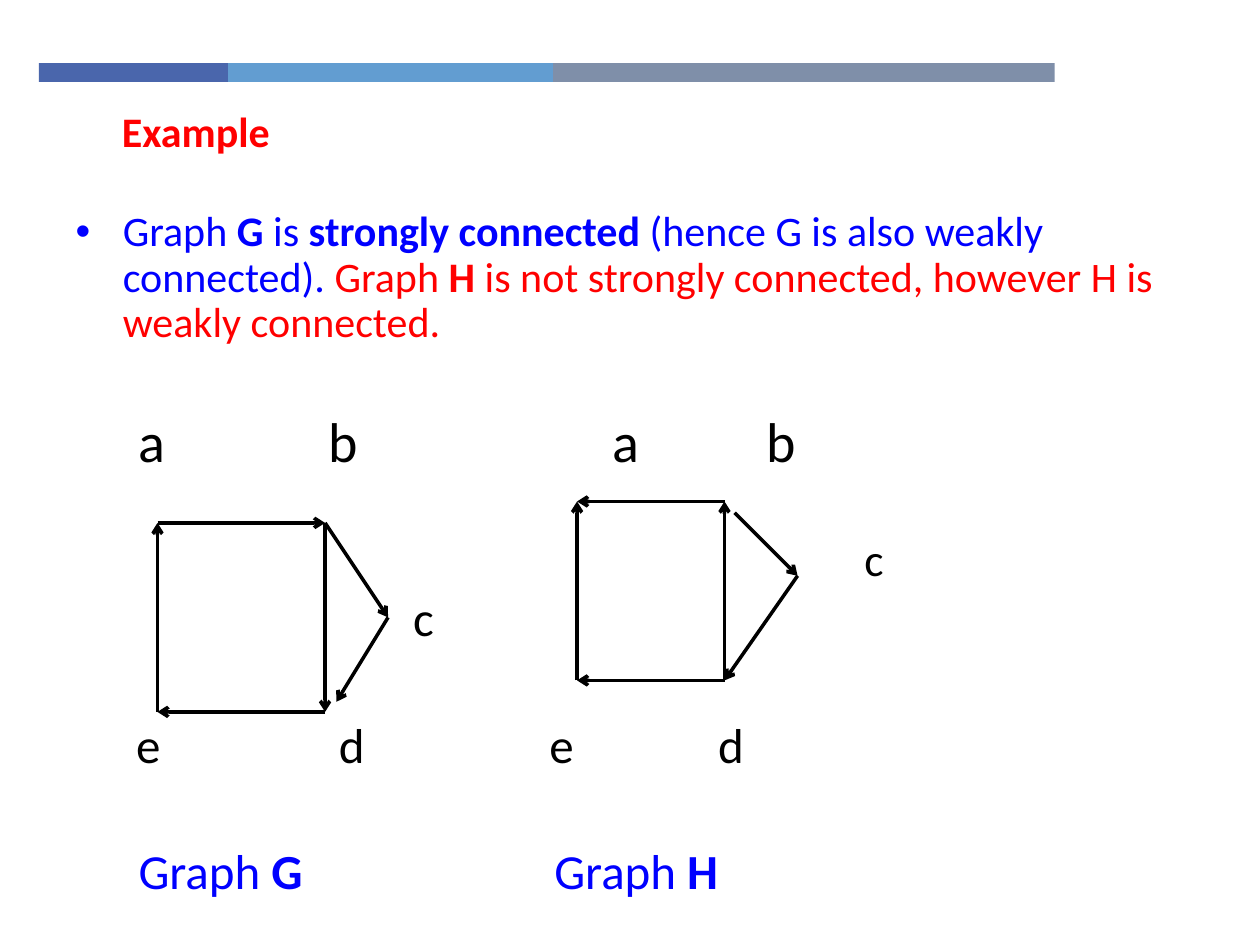
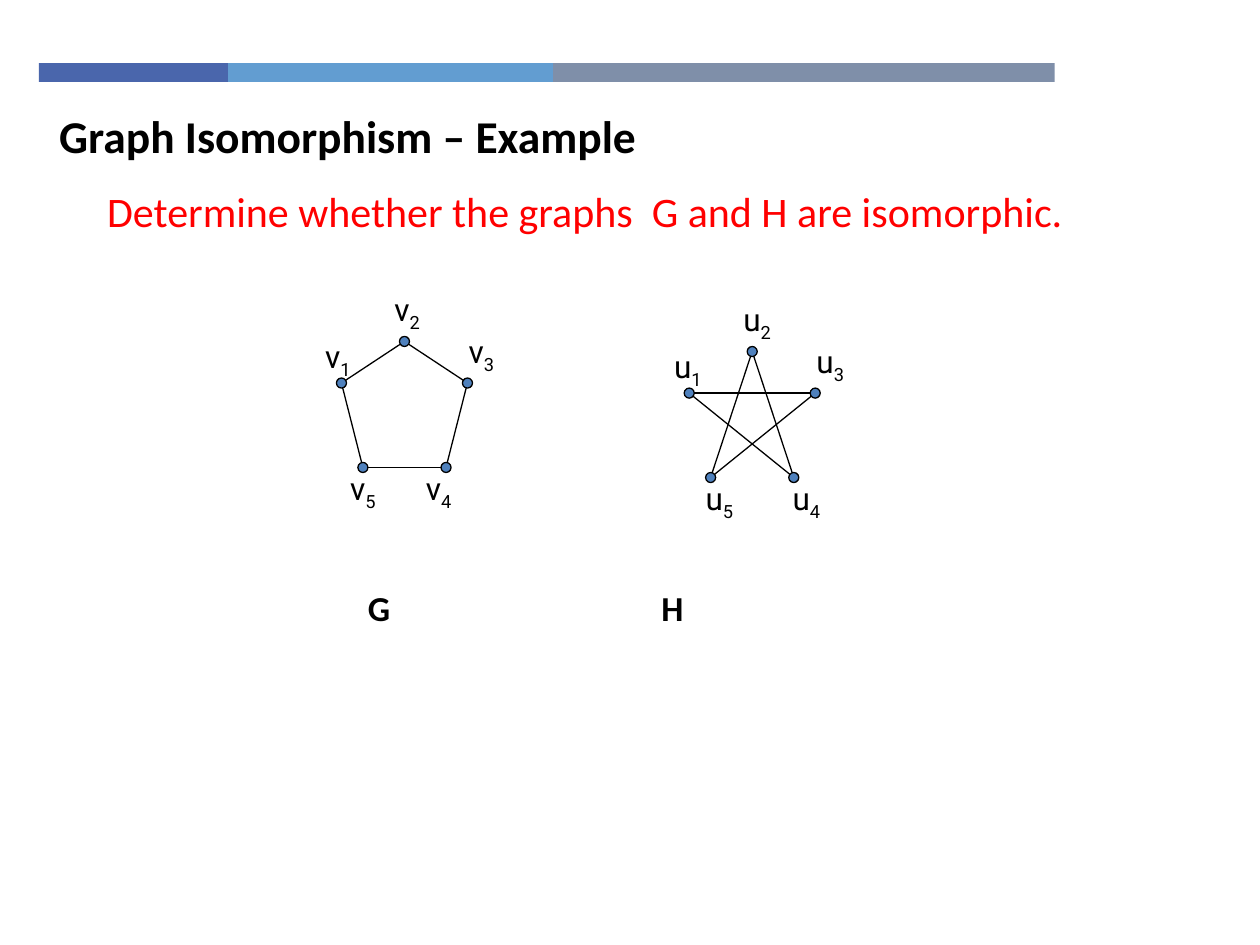
import pptx
import pptx.util
import pptx.dml.color
import pptx.enum.shapes
import pptx.enum.text
import pptx.oxml
import pptx.oxml.ns

Inch = pptx.util.Inches
Align = pptx.enum.text.PP_ALIGN
Shape = pptx.enum.shapes.MSO_SHAPE

HUES = {"navy": "4A66AC", "sky": "629DD1", "slate": "7F8FA9", "red": "FF0000",
        "blue": "0000FF", "black": "000000", "dot": "4F81BD"}

BANDS = [("navy", 1.5), ("sky", 2.58), ("slate", 3.98)]
BAND_LEFT, BAND_TOP, BAND_TALL = 0.31, 0.5, 0.15

PAGES = [
    {"title": "Example", "title_box": (0.48, 0.77, 2.15, 0.53), "size": 24,
     "hue": "red", "align": Align.CENTER,
     "body_box": (0.5, 1.62, 9, 1.4), "bullet": True, "space": 0.9,
     "body": [("Graph ", "blue", False), ("G", "blue", True), (" is ", "blue", False),
              ("strongly connected", "blue", True),
              (" (hence G is also weakly connected). ", "blue", False),
              ("Graph ", "red", False), ("H", "red", True),
              (" is not strongly connected, however H is weakly connected.", "red", False)]},
    {"title": "Graph Isomorphism – Example", "title_box": (0.37, 0.8, 7.16, 0.54),
     "size": 26, "hue": "black", "align": Align.LEFT,
     "body_box": (0.75, 1.42, 8.17, 0.6), "bullet": False, "space": 1.0,
     "body": [("Determine whether the graphs  G and H are isomorphic.", "red", False)]},
]

ROUTES = [
    {"name": "G", "name_at": (1.1, 7.04),
     "nodes": {"a": (1.25, 4.15), "b": (2.58, 4.15), "c": (3.08, 4.9),
               "d": (2.58, 5.65), "e": (1.25, 5.65), "near d": (2.67, 5.57)},
     "arcs": [("a", "b"), ("b", "d"), ("d", "e"), ("e", "a"), ("b", "c"), ("c", "near d")],
     "marks": [("a", 1.1, 3.65, 32), ("b", 2.61, 3.65, 32), ("c", 3.28, 5.03, 28),
               ("d", 2.69, 6.04, 28), ("e", 1.08, 6.04, 28)]},
    {"name": "H", "name_at": (4.4, 7.04),
     "nodes": {"a": (4.58, 3.98), "b": (5.75, 3.98), "c": (6.33, 4.57),
               "d": (5.75, 5.4), "e": (4.58, 5.4), "near b": (5.83, 4.07)},
     "arcs": [("d", "e"), ("e", "a"), ("d", "b"), ("b", "a"), ("near b", "c"), ("c", "d")],
     "marks": [("a", 4.86, 3.65, 32), ("b", 6.08, 3.65, 32), ("c", 6.86, 4.56, 26),
               ("d", 5.7, 6.04, 28), ("e", 4.36, 6.04, 28)]},
]

RING = [(0, 0.33), (0.5, 0), (1, 0.33), (0.83, 1), (0.17, 1)]
LIFTS = [-0.13, -0.17, -0.17, 0.25, 0.25]
DOT = 0.08
RINGS = [
    {"name": "G", "name_at": (2.92, 4.92), "left": 2.71, "top": 2.71, "mark": "v",
     "step": 1, "shifts": [-0.13, -0.08, 0.01, -0.16, -0.1]},
    {"name": "H", "name_at": (5.25, 4.92), "left": 5.47, "top": 2.79, "mark": "u",
     "step": 2, "shifts": [-0.12, -0.07, 0.01, -0.01, -0.04]},
]


def tint(hue):
    return pptx.dml.color.RGBColor.from_string(HUES[hue])


def place(shape, box):
    shape.left, shape.top, shape.width, shape.height = map(Inch, box)


def write(para, parts, size, font="Calibri"):
    for text, hue, bold in parts:
        run = para.add_run()
        run.text = text
        run.font.size = pptx.util.Pt(size)
        run.font.name = font
        run.font.bold = bold
        run.font.color.rgb = tint(hue)


def label(slide, left, base, parts, size, wide=0.5, font="Calibri"):
    tall = 1.22 * size / 72
    box = slide.shapes.add_textbox(Inch(left), Inch(base - 0.95 * size / 72),
                                   Inch(wide), Inch(tall))
    frame = box.text_frame
    frame.word_wrap = True
    frame.margin_left = frame.margin_right = frame.margin_top = frame.margin_bottom = 0
    write(frame.paragraphs[0], parts, size, font)
    return frame.paragraphs[0].runs


def solid(slide, kind, box, hue):
    shape = slide.shapes.add_shape(kind, *map(Inch, box))
    shape.shadow.inherit = False
    shape.fill.solid()
    shape.fill.fore_color.rgb = tint(hue)
    shape.line.fill.background()
    return shape


def join(slide, start, end, width, arrow=False):
    line = slide.shapes.add_connector(pptx.enum.shapes.MSO_CONNECTOR.STRAIGHT,
                                      *map(Inch, start + end))
    line.line.width = pptx.util.Pt(width)
    line.line.color.rgb = tint("black")
    if arrow:
        tip = pptx.oxml.ns.qn("a:tailEnd")
        line.line._get_or_add_ln().append(line.element.makeelement(tip, {"type": "arrow"}))
    line.element.spPr.append(line.element.makeelement(pptx.oxml.ns.qn("a:effectLst"), {}))


def start_page(deck, page):
    slide = deck.slides.add_slide(deck.slide_layouts[1])
    head, body = slide.placeholders
    place(head, page["title_box"])
    para = head.text_frame.paragraphs[0]
    para.alignment = page["align"]
    write(para, [(page["title"], page["hue"], True)], page["size"])
    place(body, page["body_box"])
    for part in (head, body):
        part.text_frame.auto_size = pptx.enum.text.MSO_AUTO_SIZE.NONE
    para = body.text_frame.paragraphs[0]
    para.line_spacing = page["space"]
    write(para, page["body"], 24)
    if not page["bullet"]:
        props = para._p.get_or_add_pPr()
        props.set("marL", "0")
        props.set("indent", "0")
        props.append(props.makeelement(pptx.oxml.ns.qn("a:buNone"), {}))
    return slide


def add_bands(deck, slide):
    left = BAND_LEFT
    for hue, wide in BANDS:
        band = solid(slide, Shape.RECTANGLE, (left, BAND_TOP, wide, BAND_TALL), hue)
        deck.slide_master.shapes.element.append(band.element)
        left += wide


def draw_route(slide, graph):
    nodes = graph["nodes"]
    for start, end in graph["arcs"]:
        join(slide, nodes[start], nodes[end], 2, True)
    for text, left, base, size in graph["marks"]:
        label(slide, left, base, [(text, "black", False)], size)
    label(slide, *graph["name_at"],
          [("Graph ", "blue", False), (graph["name"], "blue", True)], 28, 2)


def draw_ring(slide, graph):
    spots = [(graph["left"] + x, graph["top"] + y) for x, y in RING]
    for i, spot in enumerate(spots):
        join(slide, spot, spots[(i + graph["step"]) % len(spots)], 0.75)
    for i, (x, y) in enumerate(spots):
        dot = solid(slide, Shape.OVAL, (x - DOT / 2, y - DOT / 2, DOT, DOT), "dot")
        dot.line.color.rgb = tint("black")
        dot.line.width = pptx.util.Pt(0.75)
        runs = label(slide, x + graph["shifts"][i], y + LIFTS[i],
                     [(graph["mark"], "black", False), (str(i + 1), "black", False)],
                     18, font="Roboto")
        runs[1].font._element.set("baseline", "-25000")
    label(slide, *graph["name_at"], [(graph["name"], "black", True)], 20)


def main():
    deck = pptx.Presentation()
    deck.slide_width, deck.slide_height = Inch(10), Inch(7.5)
    first, second = [start_page(deck, page) for page in PAGES]
    add_bands(deck, first)
    for graph in ROUTES:
        draw_route(first, graph)
    for graph in RINGS:
        draw_ring(second, graph)
    deck.save("out.pptx")


if __name__ == "__main__":
    main()
